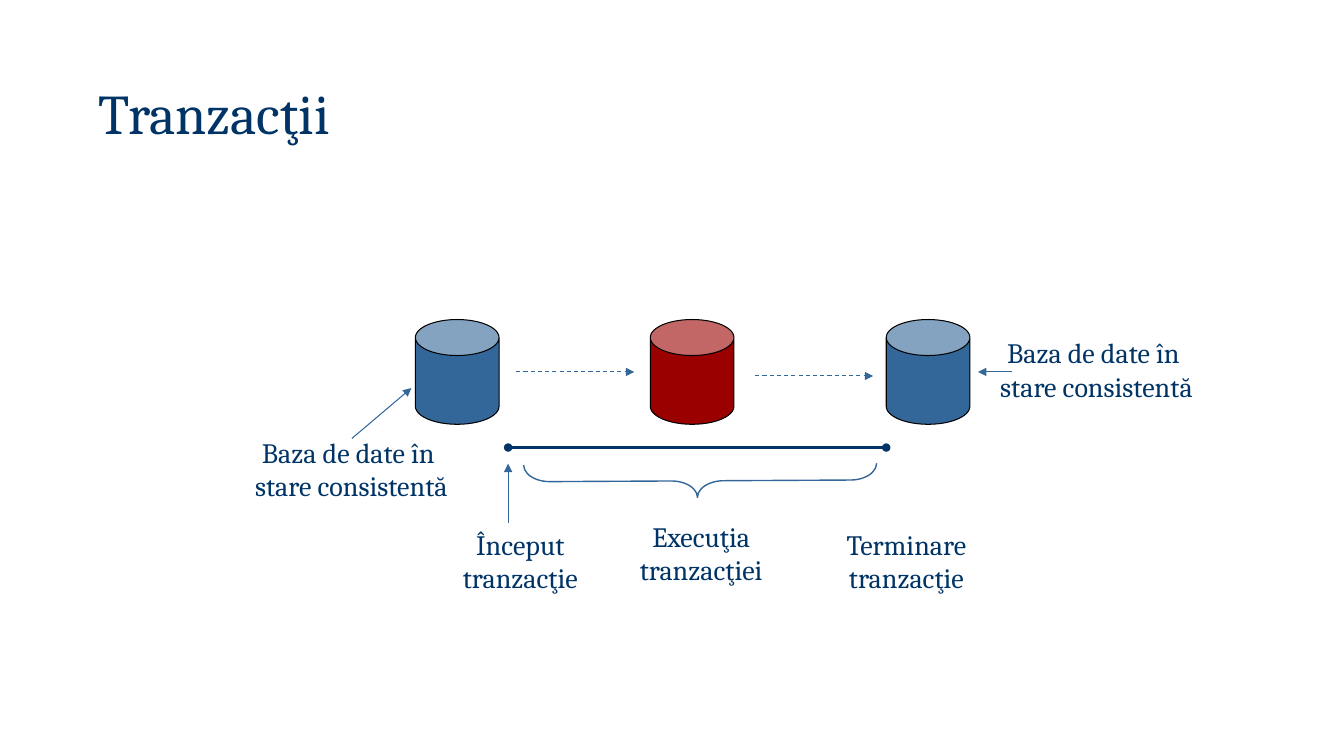
from dataclasses import dataclass

from lxml.etree import SubElement
from pptx import Presentation
from pptx.dml.color import RGBColor as RGB
from pptx.enum.dml import MSO_LINE as DASH
from pptx.enum.shapes import MSO_CONNECTOR as CONN, MSO_SHAPE as SHAPE
from pptx.enum.text import MSO_ANCHOR as ANCHOR, MSO_AUTO_SIZE as FIT, PP_ALIGN as ALIGN
from pptx.oxml.ns import qn
from pptx.util import Pt

PX = 9144  # EMU per px, 100 px to the inch


@dataclass(frozen=True)
class Theme:
    font: str = "Cambria"
    title_size: int = 40
    label_size: int = 20
    navy: str = "003366"
    blue: str = "336699"
    red: str = "9A0000"
    black: str = "000000"
    thin: float = 0.75
    brace_line: float = 1
    thick: float = 2


def emu(*lengths):
    return [n * PX for n in lengths]


def set_all(target, values):
    for name, value in values.items():
        setattr(target, name, value)


class Painter:
    def __init__(self, slide, theme):
        self.s, self.theme = slide, theme

    def fill_text(self, tf, text, size, align, frame):
        set_all(tf, frame)
        tf.text = text
        for p in tf.paragraphs:
            p.alignment = align
            for r in p.runs:
                set_all(r.font, {"name": self.theme.font, "size": Pt(size)})
                r.font.color.rgb = RGB.from_string(self.theme.navy)

    def stroke(self, line, color, width):
        line.color.rgb = RGB.from_string(color)
        line.width = Pt(width)

    def title(self, text, x, y, w, h):
        sp = self.s.shapes.title
        set_all(sp, dict(zip(("left", "top", "width", "height"), emu(x, y, w, h))))
        self.fill_text(sp.text_frame, text, self.theme.title_size, ALIGN.LEFT,
                       {"vertical_anchor": ANCHOR.MIDDLE, "auto_size": FIT.NONE,
                        "word_wrap": True})

    def label(self, text, x, y, w, h=77):
        sp = self.s.shapes.add_textbox(*emu(x, y, w, h))
        self.fill_text(sp.text_frame, text, self.theme.label_size, ALIGN.CENTER,
                       {"word_wrap": False, "auto_size": FIT.SHAPE_TO_FIT_TEXT})

    def shape(self, kind, box, adjustments, fill, line, width, rotation=0):
        sp = self.s.shapes.add_shape(kind, *emu(*box))
        sp.shadow.inherit = False
        sp.rotation = rotation
        for i, value in enumerate(adjustments):
            sp.adjustments[i] = value
        if fill:
            sp.fill.solid()
            sp.fill.fore_color.rgb = RGB.from_string(fill)
        else:
            sp.fill.background()
        self.stroke(sp.line, line, width)

    def database(self, x, fill):
        self.shape(SHAPE.CAN, (x, 317, 83, 104), [0.431], fill,
                   self.theme.black, self.theme.thin)

    def line(self, start, end, color, width, dash=None, **ends):
        cx = self.s.shapes.add_connector(CONN.STRAIGHT, *emu(*start, *end))
        self.stroke(cx.line, color, width)
        if dash:
            cx.line.dash_style = dash
        sp_pr = cx._element.spPr
        ln = sp_pr.find(qn("a:ln"))
        for tag, kind in ends.items():
            SubElement(ln, qn(f"a:{tag}"), type=kind)
        SubElement(sp_pr, qn("a:effectLst"))

    def arrow(self, start, end, dash=None):
        self.line(start, end, self.theme.blue, self.theme.thin, dash,
                  tailEnd="triangle")


def main():
    prs = Presentation()
    prs.slide_width, prs.slide_height = emu(1333, 750)
    theme = Theme()
    slide = Painter(prs.slides.add_slide(prs.slide_layouts[5]), theme)
    slide.title("Tranzacţii", 88, 70, 1092, 83)

    # Database states: consistent, in transition, consistent
    for x, fill in ((412, theme.blue), (879, theme.blue), (645, theme.red)):
        slide.database(x, fill)

    # Transaction span, its start and its execution brace
    slide.line((504, 444), (879, 444), theme.navy, theme.thick,
               headEnd="oval", tailEnd="oval")
    slide.arrow((504, 519), (504, 460))
    slide.shape(SHAPE.LEFT_BRACE, (678, 302, 33, 350), [0.787, 0.492], None,
                theme.blue, theme.brace_line, rotation=269.7)

    # Labels: \n starts a paragraph, \v breaks a line
    slide.label("Început\ntranzacţie", 445, 518, 142)
    slide.label("Terminare\ntranzacţie", 824, 518, 150)
    slide.label("Execuţia \vtranzacţiei ", 620, 510, 157)
    for x, y in ((236, 427), (975, 328)):
        slide.label("Baza de date în \vstare consistentă", x, y, 225)

    # Pointers to the consistent states
    slide.arrow((349, 435), (408, 385))
    slide.arrow((1004, 369), (970, 369))

    # Transitions between states
    for x, y in ((512, 369), (749, 373)):
        slide.arrow((x, y), (x + 117, y), DASH.DASH)

    prs.save("out.pptx")


if __name__ == "__main__":
    main()
